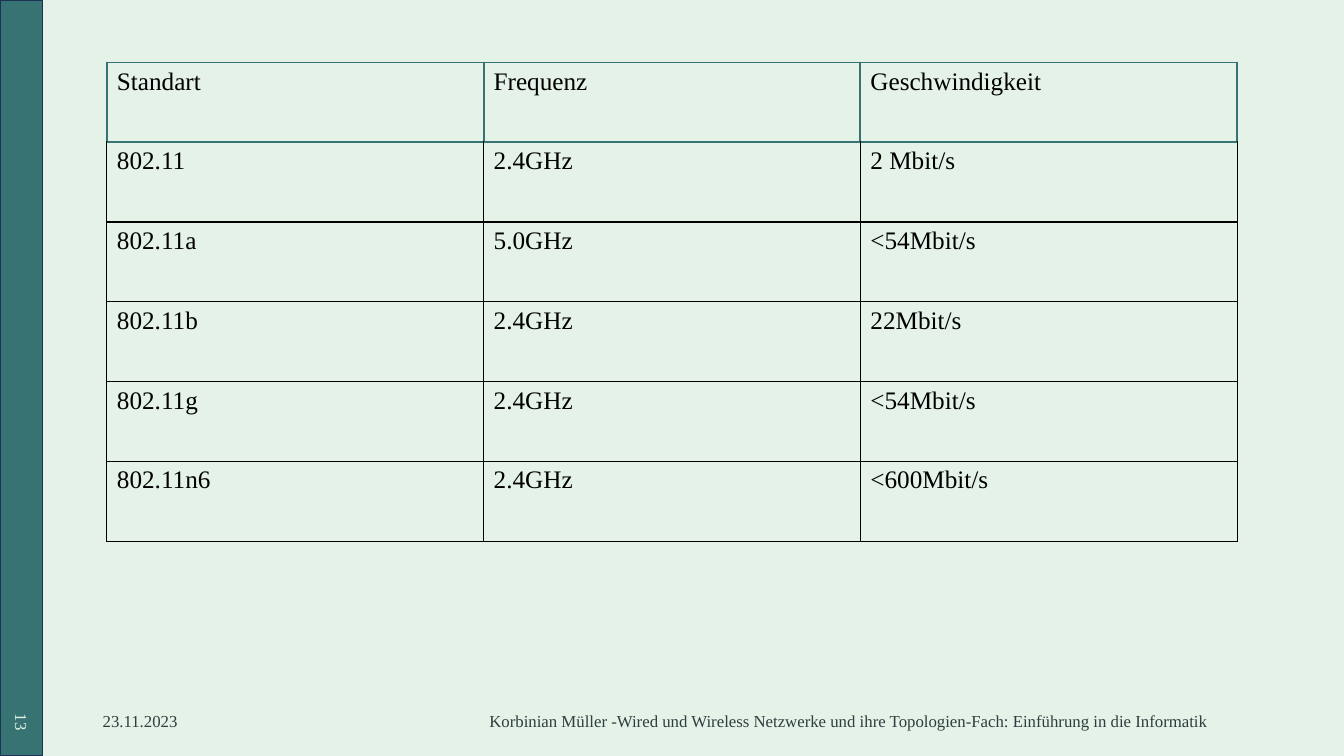
"""Build a slide with a table of wireless network standards."""
from lxml import etree
from pptx import Presentation
from pptx.dml.color import RGBColor
from pptx.enum.shapes import MSO_SHAPE
from pptx.enum.text import MSO_ANCHOR, PP_ALIGN
from pptx.oxml.ns import qn
from pptx.util import Inches, Pt

RECTANGLE = MSO_SHAPE.RECTANGLE
MIDDLE = MSO_ANCHOR.MIDDLE
LEFT, CENTER, RIGHT = PP_ALIGN.LEFT, PP_ALIGN.CENTER, PP_ALIGN.RIGHT

MINT = RGBColor(0xE4, 0xF2, 0xE7)
TEAL = RGBColor(0x38, 0x73, 0x73)
NAVY = RGBColor(0x1E, 0x32, 0x56)
SLATE = RGBColor(0x2D, 0x3E, 0x40)
BLACK = RGBColor(0, 0, 0)
FONT = "Times New Roman"

STANDARDS = [
    ("Standart", "Frequenz", "Geschwindigkeit"),
    ("802.11", "2.4GHz", "2 Mbit/s"),
    ("802.11a", "5.0GHz", "<54Mbit/s"),
    ("802.11b", "2.4GHz", "22Mbit/s"),
    ("802.11g", "2.4GHz", "<54Mbit/s"),
    ("802.11n6", "2.4GHz", "<600Mbit/s"),
]
FOOTER = ("Korbinian Müller -Wired und Wireless Netzwerke und ihre "
          "Topologien-Fach: Einführung in die Informatik")
FOOTER_PARTS = [
    ("23.11.2023", (0.92, 6.95, 3, 0.4), 0, LEFT, SLATE),
    (FOOTER, (4.42, 6.95, 8, 0.4), 0, CENTER, SLATE),
    ("13", (-0.18, 6.75, 0.79, 0.4), 90, RIGHT, MINT),
]
SLIDE_SIZE = (13.33, 7.5)
BAR_WIDTH = 0.42
TABLE_AREA = (1.06, 0.62, 11.21, 4.75)
HEADER_BORDER, BODY_BORDER = (TEAL, 1.5), (BLACK, 1)


def write(frame, text, size=12, color=BLACK, align=LEFT):
    """Put one formatted paragraph into a text frame."""
    frame.word_wrap = True
    para = frame.paragraphs[0]
    para.alignment = align
    span = para.add_run()
    span.text = text
    span.font.name = FONT
    span.font.size = Pt(size)
    span.font.color.rgb = color


def add_border(cell, side, color, width):
    """Draw a solid line on one side of a table cell."""
    properties = cell._tc.get_or_add_tcPr()
    line = etree.SubElement(properties, qn(f"a:ln{side}"), w=str(Pt(width)))
    fill = etree.SubElement(line, qn("a:solidFill"))
    etree.SubElement(fill, qn("a:srgbClr"), val=str(color))


def add_bar(page, height):
    """Draw the coloured bar along the left edge."""
    bar = page.shapes.add_shape(RECTANGLE, 0, 0, Inches(BAR_WIDTH), height)
    bar.shadow.inherit = False
    bar.fill.solid()
    bar.fill.fore_color.rgb = TEAL
    bar.line.color.rgb = NAVY
    bar.line.width = Pt(1)


def add_standards(page):
    """Add the table with its header and body borders."""
    frame = page.shapes.add_table(len(STANDARDS), len(STANDARDS[0]),
                                  *map(Inches, TABLE_AREA))
    table = frame.table
    table.first_row = table.horz_banding = False
    for row, values in enumerate(STANDARDS):
        for column, value in enumerate(values):
            cell = table.cell(row, column)
            write(cell.text_frame, value, size=18)
            own = BODY_BORDER if row else HEADER_BORDER
            top = HEADER_BORDER if row <= 1 else BODY_BORDER
            for side, border in zip("LRTB", (own, own, top, own)):
                add_border(cell, side, *border)
            cell.fill.background()


def main():
    """Create and save the deck."""
    deck = Presentation()
    deck.slide_width, deck.slide_height = map(Inches, SLIDE_SIZE)
    page = deck.slides.add_slide(deck.slide_layouts[6])
    page.background.fill.solid()
    page.background.fill.fore_color.rgb = MINT
    add_bar(page, deck.slide_height)
    for text, area, rotation, align, color in FOOTER_PARTS:
        box = page.shapes.add_textbox(*map(Inches, area))
        box.rotation = rotation
        box.text_frame.vertical_anchor = MIDDLE
        write(box.text_frame, text, color=color, align=align)
    add_standards(page)
    deck.save("out.pptx")


if __name__ == "__main__":
    main()
